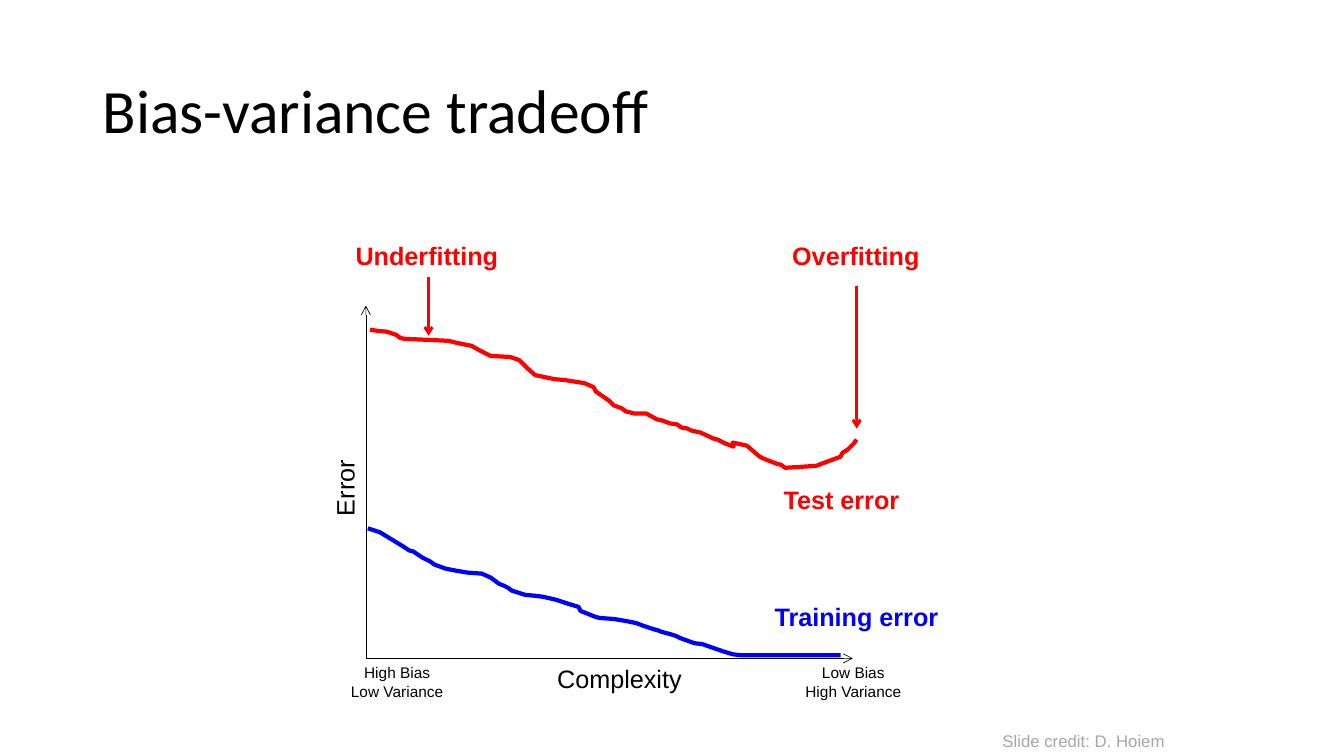
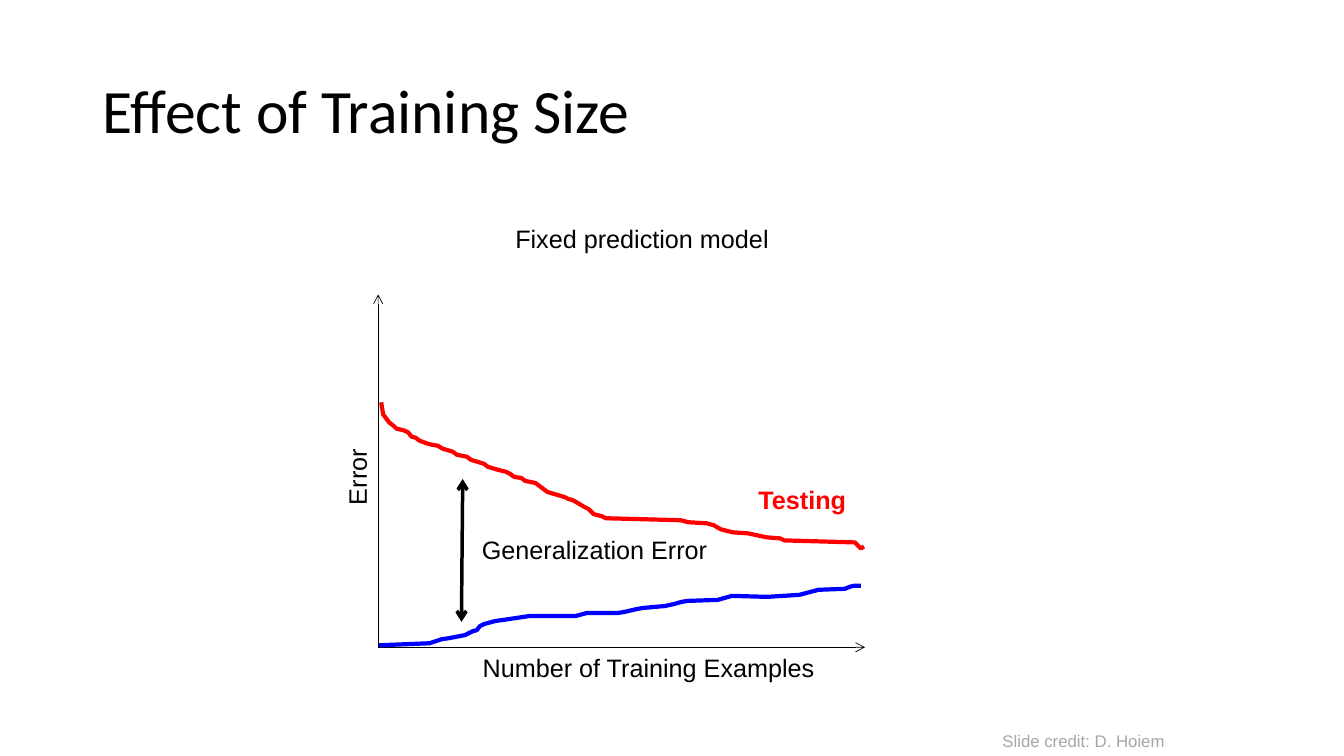
from lxml import etree
from pptx import Presentation
from pptx import util as u
from pptx.dml.color import RGBColor
from pptx.enum import shapes, text
from pptx.oxml.ns import qn

BLACK, RED, BLUE, GREY = "000000", "FF0000", "0000FF", "A6A6A6"
HEAD_FONT, BODY_FONT = "Calibri", "Arial"
PLOT_W, PLOT_H = 12.27, 8.89
CURVE_UNIT = u.Cm(0.0254)

TEST_ERROR = [
    (4, 24), (11, 25), (21, 26), (30, 29), (34, 32), (38, 33), (82, 35), (90, 37),
    (105, 40), (112, 44), (116, 46), (124, 50), (143, 51), (152, 54), (160, 62),
    (168, 69), (187, 73), (198, 74), (217, 77), (226, 81), (228, 85), (232, 88),
    (238, 92), (242, 95), (246, 99), (254, 102), (258, 105), (266, 107), (278, 107),
    (289, 113), (294, 114), (302, 117), (309, 118), (313, 121), (319, 122),
    (323, 124), (332, 126), (345, 132), (349, 133), (353, 135), (357, 137),
    (365, 140), (364, 136), (369, 137), (378, 139), (391, 150), (395, 152),
    (408, 157), (412, 158), (416, 161), (432, 160), (447, 159), (452, 157),
    (460, 154), (471, 150), (473, 146), (478, 143), (484, 137), (487, 133)]
TRAINING_ERROR = [
    (2, 221), (14, 225), (37, 239), (43, 243), (47, 244), (56, 250), (64, 254),
    (68, 257), (79, 261), (84, 262), (89, 263), (101, 265), (115, 266), (124, 270),
    (132, 276), (137, 278), (141, 280), (145, 283), (158, 287), (168, 288),
    (176, 289), (189, 292), (201, 296), (211, 299), (213, 303), (223, 307),
    (228, 309), (232, 310), (246, 311), (258, 313), (268, 315), (276, 318),
    (285, 321), (289, 322), (294, 324), (302, 326), (308, 328), (312, 330),
    (326, 335), (334, 336), (354, 343), (364, 346), (372, 347), (471, 347)]
TESTING_BY_SIZE = [
    (3, 107), (5, 119), (11, 127), (15, 130), (18, 133), (26, 135), (30, 137),
    (33, 141), (37, 142), (41, 145), (49, 148), (53, 149), (59, 150), (64, 153),
    (74, 156), (78, 159), (88, 161), (92, 164), (105, 168), (109, 171), (119, 174),
    (127, 176), (131, 178), (135, 181), (142, 182), (146, 185), (156, 187),
    (164, 193), (168, 196), (185, 201), (189, 203), (193, 204), (205, 211),
    (209, 213), (214, 218), (222, 220), (226, 222), (263, 223), (300, 224),
    (308, 226), (326, 227), (333, 229), (340, 233), (352, 236), (367, 237),
    (381, 240), (386, 241), (399, 242), (403, 244), (473, 246), (479, 252), (482, 250)]
TRAINING_BY_SIZE = [
    (1, 348), (51, 346), (63, 342), (70, 341), (86, 338), (94, 334), (98, 333),
    (101, 329), (105, 327), (116, 324), (130, 322), (150, 319), (196, 319),
    (207, 316), (238, 316), (244, 315), (257, 312), (263, 311), (285, 309),
    (294, 307), (301, 305), (307, 304), (337, 303), (351, 299), (386, 300),
    (418, 298), (433, 294), (437, 293), (463, 292), (468, 290), (472, 289), (479, 289)]


def rgb(value):
    """Turn a hex string into a colour."""
    return RGBColor.from_string(value)


def add_text(s, words, x, y, w, h=1.02, size=18, color=BLACK, bold=False,
             font=BODY_FONT, align=text.PP_ALIGN.CENTER, wrap=False):
    """Add a text box, in centimetres, with one style throughout."""
    sp = s.shapes.add_textbox(u.Cm(x), u.Cm(y), u.Cm(w), u.Cm(h))
    tf = sp.text_frame
    tf.text = words
    tf.word_wrap = wrap
    for p in tf.paragraphs:
        p.alignment = align
        for r in p.runs:
            r.font.name, r.font.size, r.font.bold = font, u.Pt(size), bold
            r.font.color.rgb = rgb(color)
    return sp


def add_frame(prs, title):
    """Add a blank slide with its title and credit."""
    s = prs.slides.add_slide(prs.slide_layouts[6])
    sp = add_text(s, title, 2.34, 1.02, 29.21, 3.68, size=44, font=HEAD_FONT,
                  align=text.PP_ALIGN.LEFT, wrap=True)
    sp.text_frame.vertical_anchor = text.MSO_ANCHOR.MIDDLE
    sp.text_frame.paragraphs[0].line_spacing = 0.9
    add_text(s, "Slide credit: D. Hoiem", 25, 18.29, 4.62, 0.76, size=12, color=GREY)
    return s


class Plot:
    """An error plot whose parts sit relative to its top left corner."""

    def __init__(self, s, left, top, x_title, x_title_left, x_title_width):
        """Draw the axes and their titles."""
        self.s, self.left, self.top = s, left, top
        self.arrow((0, PLOT_H), (0, 0), BLACK, 0.5)
        self.arrow((0, PLOT_H), (PLOT_W, PLOT_H), BLACK, 0.5)
        self.label("Error", -1.5, 4.09, 1.93).rotation = 270
        self.label(x_title, x_title_left, PLOT_H, x_title_width)

    def label(self, words, x, y, w, **style):
        """Add a label."""
        return add_text(self.s, words, self.left + x, self.top + y, w, **style)

    def arrow(self, start, end, color, width, both=False):
        """Add a straight arrow, with a head at one or both ends."""
        ends = [u.Cm(o + d) for pt in (start, end)
                for o, d in zip((self.left, self.top), pt)]
        c = self.s.shapes.add_connector(shapes.MSO_CONNECTOR.STRAIGHT, *ends)
        c.line.color.rgb = rgb(color)
        c.line.width = u.Pt(width)
        ln = c.line._get_or_add_ln()
        for tag in (["a:headEnd"] if both else []) + ["a:tailEnd"]:
            etree.SubElement(ln, qn(tag), type="arrow")
        etree.SubElement(c._element.spPr, qn("a:effectLst"))

    def curve(self, points, color):
        """Add an open curve through the points."""
        fb = self.s.shapes.build_freeform(*points[0], scale=CURVE_UNIT)
        fb.add_line_segments(points[1:], close=False)
        sp = fb.convert_to_shape(u.Cm(self.left), u.Cm(self.top))
        sp.shadow.inherit = False
        sp.fill.background()
        sp.line.color.rgb = rgb(color)
        sp.line.width = u.Pt(3)


def tradeoff_slide(prs):
    """Build the slide on error against model complexity."""
    s = add_frame(prs, "Bias-variance tradeoff")
    plot = Plot(s, 9.22, 7.7, "Complexity", 4.55, 3.68)
    plot.curve(TRAINING_ERROR, BLUE)
    plot.curve(TEST_ERROR, RED)
    for words, x, y, w, color in (("Training error", 10.03, 7.34, 4.67, BLUE),
                                  ("Test error", 10.26, 4.37, 3.45, RED),
                                  ("Underfitting", -0.53, -1.78, 4.14, RED),
                                  ("Overfitting", 10.47, -1.78, 3.76, RED)):
        plot.label(words, x, y, w, color=color, bold=True)
    plot.arrow((1.58, -0.71), (1.58, 0.76), RED, 2)
    plot.arrow((12.37, -0.49), (12.37, 3.1), RED, 2)
    for words, x, w in (("High Bias\nLow Variance", -0.66, 2.9),
                        ("Low Bias\nHigh Variance", 10.8, 2.97)):
        plot.label(words, x, PLOT_H, w, h=1.19, size=11)


def training_size_slide(prs):
    """Build the slide on error against number of examples."""
    s = add_frame(prs, "Effect of Training Size")
    plot = Plot(s, 9.53, 7.42, "Number of Training Examples", 2.33, 8.97)
    plot.curve(TESTING_BY_SIZE, RED)
    plot.curve(TRAINING_BY_SIZE, BLUE)
    plot.label("Testing", 9.32, 4.67, 2.74, color=RED, bold=True)
    plot.arrow((2.1, 8.25), (2.13, 4.65), BLACK, 2.5, both=True)
    plot.label("Generalization Error", 2.33, 5.92, 6.25)
    plot.label("Fixed prediction model", 3.17, -1.91, 6.96)


def main():
    """Build and save the presentation."""
    prs = Presentation()
    prs.slide_width, prs.slide_height = u.Cm(33.87), u.Cm(19.05)
    tradeoff_slide(prs)
    training_size_slide(prs)
    prs.save("out.pptx")


if __name__ == "__main__":
    main()
